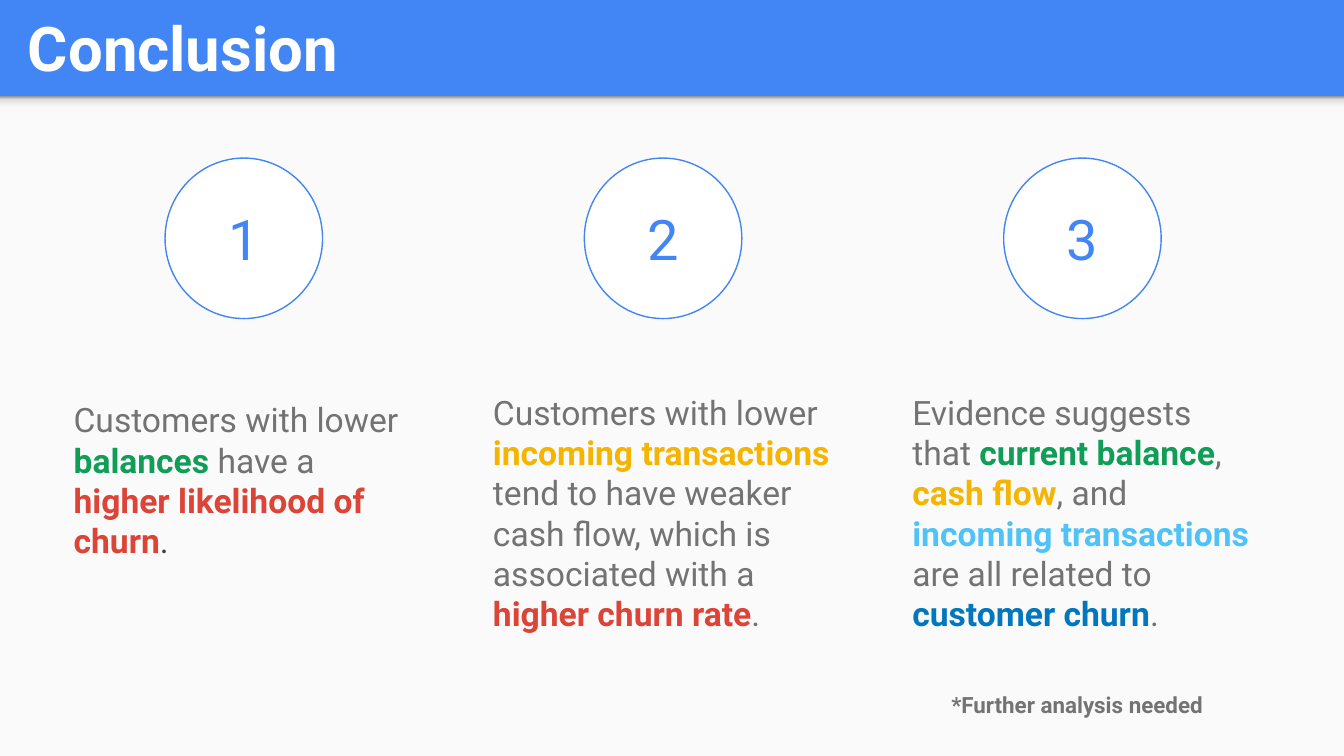
from copy import deepcopy

from pptx import Presentation
from pptx.dml.color import RGBColor
from pptx.enum.shapes import MSO_SHAPE
from pptx.enum.text import MSO_ANCHOR, PP_ALIGN
from pptx.oxml.ns import qn
from pptx.util import Pt

FONT = "Roboto"
BLUE = RGBColor(0x42, 0x85, 0xF4)
WHITE = RGBColor(0xFF, 0xFF, 0xFF)
PAPER = RGBColor(0xFA, 0xFA, 0xFA)
GRAY = RGBColor(0x73, 0x73, 0x73)
DARK = RGBColor(0x42, 0x42, 0x42)
GREEN = RGBColor(0x0F, 0x9D, 0x58)
RED = RGBColor(0xDB, 0x44, 0x37)
AMBER = RGBColor(0xF4, 0xB4, 0x00)
SKY = RGBColor(0x4F, 0xC3, 0xF7)
NAVY = RGBColor(0x02, 0x77, 0xBD)
SHADE_LIGHT = RGBColor(0xF9, 0xF9, 0xF9)
SHADE_MID = RGBColor(0xDE, 0xDE, 0xDE)
SHADE_DARK = RGBColor(0x99, 0x99, 0x99)

SLIDE_W, SLIDE_H = 720, 405
BAND_H = 51.6
COLUMN_GAP = 224.64


def add_shape(kind, left, top, width, height):
    sp = slide.shapes.add_shape(kind, Pt(left), Pt(top), Pt(width), Pt(height))
    sp.shadow.inherit = False
    sp.line.fill.background()
    return sp


def write(sp, runs, size, anchor=MSO_ANCHOR.TOP, align=PP_ALIGN.LEFT):
    """Fill one paragraph with (text, colour, bold) runs."""
    tf = sp.text_frame
    tf.word_wrap = True
    tf.vertical_anchor = anchor
    tf.margin_left = tf.margin_right = tf.margin_top = tf.margin_bottom = Pt(7.2)
    p = tf.paragraphs[0]
    p.alignment = align
    for text, color, bold in runs:
        r = p.add_run()
        r.text = text
        r.font.name = FONT
        r.font.size = Pt(size)
        r.font.bold = bold
        r.font.color.rgb = color


prs = Presentation()
prs.slide_width, prs.slide_height = Pt(SLIDE_W), Pt(SLIDE_H)
slide = prs.slides.add_slide(prs.slide_layouts[6])
slide.background.fill.solid()
slide.background.fill.fore_color.rgb = BLUE

# Page area and the soft shade under the title band
page = add_shape(MSO_SHAPE.RECTANGLE, 0, BAND_H, SLIDE_W, SLIDE_H - BAND_H)
page.fill.solid()
page.fill.fore_color.rgb = PAPER

shade = add_shape(MSO_SHAPE.RECTANGLE, 0, BAND_H, SLIDE_W, 8.64)
shade.fill.gradient()
shade.fill.gradient_angle = 90
stop_list = shade._element.spPr.find(".//" + qn("a:gsLst"))
for stop in list(stop_list):
    stop_list.append(deepcopy(stop))
shade_stops = [(0, SHADE_LIGHT), (0.36, SHADE_LIGHT), (0.8, SHADE_MID), (1, SHADE_DARK)]
for stop, (position, color) in zip(shade.fill.gradient_stops, shade_stops):
    stop.position = position
    stop.color.rgb = color

title = slide.shapes.add_textbox(Pt(7.92), Pt(1.44), Pt(694.8), Pt(47.5))
write(title, [("Conclusion", WHITE, True)], 33, MSO_ANCHOR.MIDDLE)

# Three numbered findings: text top, text height, runs
findings = [
    (206.64, 101.5, [
        ("Customers with lower ", GRAY, False),
        ("balances", GREEN, True),
        (" have a ", GRAY, False),
        ("higher likelihood of churn", RED, True),
        (".", DARK, False),
    ]),
    (202.6, 145.4, [
        ("Customers with lower ", GRAY, False),
        ("incoming transactions", AMBER, True),
        (" tend to have weaker cash flow, which is associated with a ", GRAY, False),
        ("higher churn rate", RED, True),
        (".", GRAY, False),
    ]),
    (202.6, 145.4, [
        ("Evidence suggests that ", GRAY, False),
        ("current balance", GREEN, True),
        (", ", GRAY, False),
        ("cash flow", AMBER, True),
        (", and ", GRAY, False),
        ("incoming transactions ", SKY, True),
        ("are all related to ", GRAY, False),
        ("customer churn", NAVY, True),
        (".", GRAY, False),
    ]),
]
for i, (top, height, runs) in enumerate(findings):
    offset = i * COLUMN_GAP
    circle = add_shape(MSO_SHAPE.OVAL, 88.4 + offset, 84.7, 84.4, 86)
    circle.fill.solid()
    circle.fill.fore_color.rgb = WHITE
    circle.line.color.rgb = BLUE
    circle.line.width = Pt(0.75)
    write(circle, [(str(i + 1), BLUE, False)], 30, MSO_ANCHOR.MIDDLE, PP_ALIGN.CENTER)

    body = slide.shapes.add_textbox(Pt(32.4 + offset), Pt(top), Pt(196.6), Pt(height))
    write(body, runs, 18)

footnote = slide.shapes.add_textbox(Pt(502.56), Pt(362.9), Pt(295.2), Pt(28.8))
write(footnote, [("*Further analysis needed", GRAY, True)], 12)

prs.save("out.pptx")
